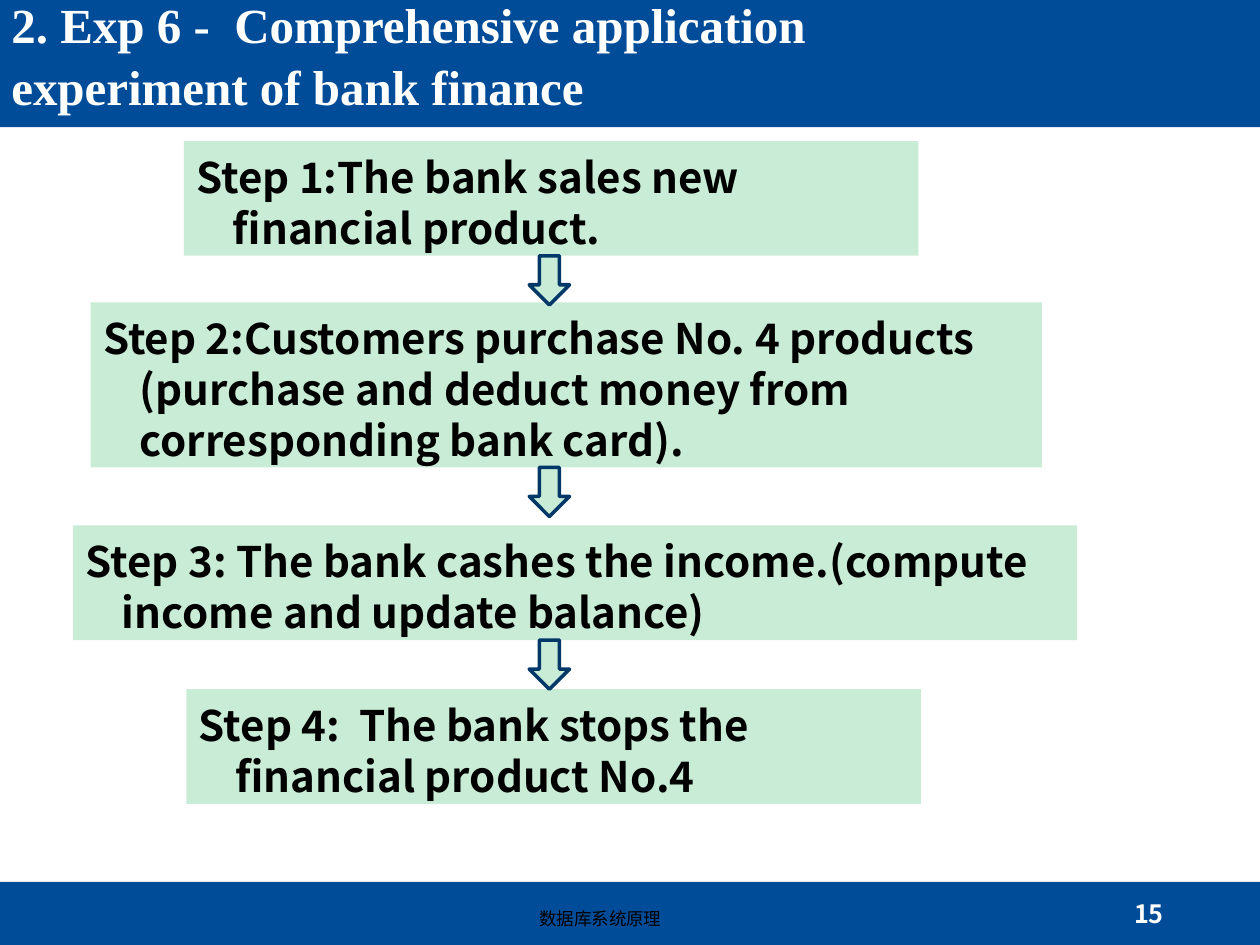
import pptx
import pptx.util
import pptx.dml.color
import pptx.enum.shapes
import pptx.enum.text
import pptx.oxml.ns
import lxml.etree

Inches, Pt = pptx.util.Inches, pptx.util.Pt
Shape = pptx.enum.shapes.MSO_SHAPE
Align = pptx.enum.text.PP_ALIGN
Anchor = pptx.enum.text.MSO_ANCHOR

theme = {
    "blue": "014C98", "green": "C8ECD6", "edge": "013868",
    "white": "FFFFFF", "black": "000000",
    "serif": "Times New Roman", "sans": "Noto Sans CJK SC",
    "title": 28, "step": 24, "page": 14.4, "foot": 10,
}


def block(kind, box, fill):
    """Add a preset shape with a plain fill, no line and no shadow."""
    shape = slide.shapes.add_shape(kind, *map(Inches, box))
    shape.shadow.inherit = False
    shape.fill.solid()
    shape.fill.fore_color.rgb = pptx.dml.color.RGBColor.from_string(theme[fill])
    shape.line.fill.background()
    return shape


def write(shape, text, size, face, color, bold, align, anchor, insets):
    """Set the text of a shape, then format its frame and run."""
    frame = shape.text_frame
    frame.text = text
    frame.word_wrap = True
    frame.auto_size = pptx.enum.text.MSO_AUTO_SIZE.NONE
    frame.vertical_anchor = anchor
    (frame.margin_left, frame.margin_top,
     frame.margin_right, frame.margin_bottom) = map(Inches, insets)
    line = frame.paragraphs[0]
    line.alignment = align
    font = line.runs[0].font
    font.size, font.bold, font.name = Pt(theme[size]), bold, theme[face]
    font.color.rgb = pptx.dml.color.RGBColor.from_string(theme[color])
    # East Asian letters take the same face
    latin = line.runs[0].font._element.find(pptx.oxml.ns.qn("a:latin"))
    east = lxml.etree.Element(pptx.oxml.ns.qn("a:ea"), typeface=theme[face])
    latin.addnext(east)
    return line


deck = pptx.Presentation()
deck.slide_width, deck.slide_height = Inches(10), Inches(7.5)
slide = deck.slides.add_slide(deck.slide_layouts[5])
title = slide.shapes.title

# Bands at the foot and the head
block(Shape.RECTANGLE, (0, 7, 10, 0.5), "blue")
block(Shape.RECTANGLE, (0, -0.03, 10, 1.04), "blue")

# Title, brought in front of the head band
slide.shapes._spTree.append(title._element)
title.left, title.top = Inches(-0.03), Inches(0)
title.width, title.height = Inches(7.65), Inches(0.85)
head = write(title, "2. Exp 6 -  Comprehensive application experiment of bank finance",
             "title", "serif", "white", True, Align.LEFT, Anchor.MIDDLE,
             (0.12, 0.06, 0.12, 0.06))
head.line_spacing = 1.05

# Page number and footer
page = slide.shapes.add_textbox(Inches(8.86), Inches(7.08), Inches(0.99), Inches(0.34))
write(page, "15", "page", "sans", "white", True, Align.LEFT, Anchor.MIDDLE,
      (0.14, 0, 0.1, 0))
foot = slide.shapes.add_textbox(Inches(3.18), Inches(7.15), Inches(3.17), Inches(0.28))
write(foot, "数据库系统原理", "foot", "sans", "black", False, Align.CENTER, Anchor.MIDDLE,
      (0.1, 0, 0.1, 0))

# Steps: left, top, width, height, text
steps = [
    (1.46, 1.12, 5.83, 0.91, "Step 1:The bank sales new financial product."),
    (0.72, 2.4, 7.55, 1.31, "Step 2:Customers purchase No. 4 products "
     "(purchase and deduct money from corresponding bank card)."),
    (0.58, 4.17, 7.97, 0.91, "Step 3: The bank cashes the income.(compute "
     "income and update balance)"),
    (1.48, 5.47, 5.83, 0.91, "Step 4:  The bank stops the financial product No.4"),
]
for *box, text in steps:
    step = block(Shape.RECTANGLE, box, "green")
    line = write(step, text, "step", "sans", "black", True, Align.LEFT, Anchor.TOP,
                 (0.1, 0.08, 0.1, 0.02))
    line.line_spacing = Pt(29)
    props = line._p.get_or_add_pPr()
    props.set("marL", str(Inches(0.29)))
    props.set("indent", str(Inches(-0.29)))

# An arrow under each step but the last
for left, top, width, height, text in steps[:-1]:
    arrow = block(Shape.DOWN_ARROW, (4.2, top + height, 0.32, 0.39), "green")
    arrow.line.color.rgb = pptx.dml.color.RGBColor.from_string(theme["edge"])
    arrow.line.width = Pt(2)

deck.save("out.pptx")
